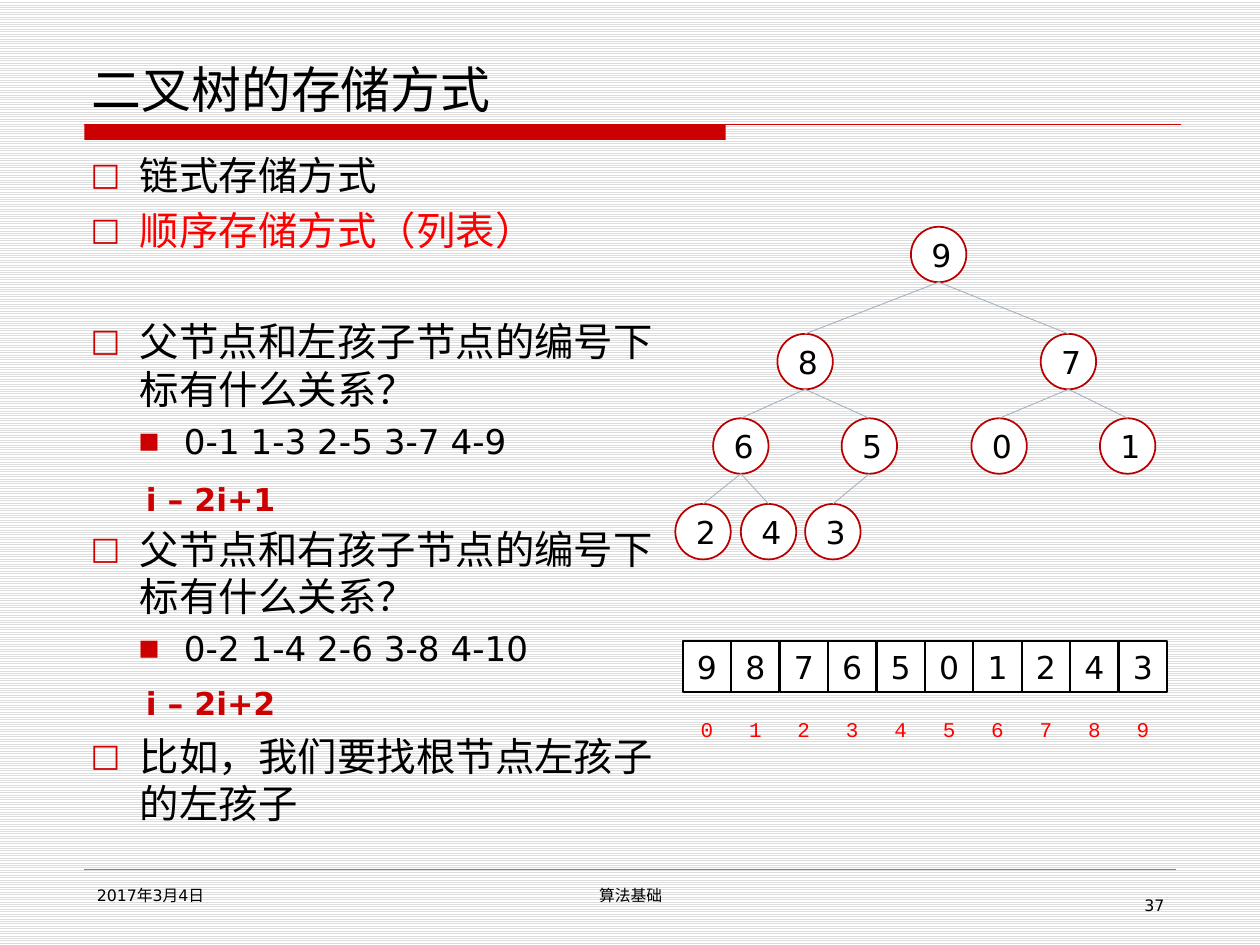
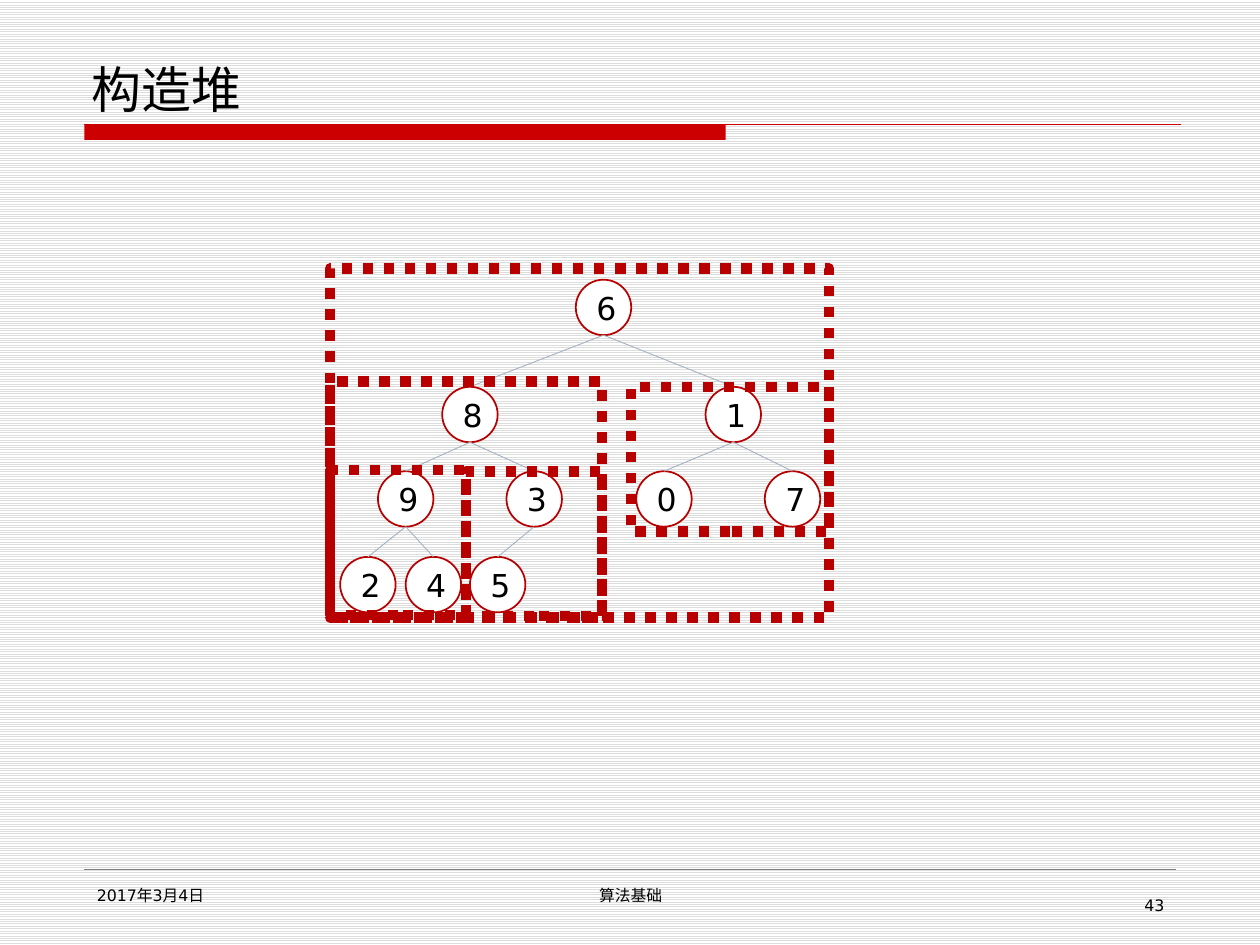
from lxml import etree
from pptx import Presentation
from pptx.dml.color import RGBColor
from pptx.enum.dml import MSO_LINE, MSO_PATTERN
from pptx.enum.shapes import MSO_CONNECTOR, MSO_SHAPE
from pptx.enum.text import MSO_ANCHOR, MSO_AUTO_SIZE, PP_ALIGN
from pptx.oxml import parse_xml
from pptx.oxml.ns import nsdecls, qn
from pptx.util import Inches, Pt

BLACK = RGBColor(0x00, 0x00, 0x00)
WHITE = RGBColor(0xFF, 0xFF, 0xFF)
STRIPE = RGBColor(0xDD, 0xDD, 0xDD)
ACCENT = RGBColor(0xCC, 0x00, 0x00)
NODE_RED = RGBColor(0xB9, 0x00, 0x00)
BRIGHT_RED = RGBColor(0xFF, 0x00, 0x00)
EDGE = RGBColor(0xA3, 0xB2, 0xC1)
FOOTER_GRAY = RGBColor(0x80, 0x80, 0x80)

SANS = "DejaVu Sans"
MONO = "Courier New"

TITLE_ONLY, TITLE_AND_BODY = 5, 1

# Node places in level order, relative to the tree's top left corner
NODE_SIZE = 0.44
LEVEL_TOPS = (0, 0.85, 1.52, 2.2)
NODE_LEFTS = (1.87, 0.81, 2.9, 0.3, 1.32, 2.35, 3.37, 0, 0.52, 1.03)

# Level: left margin, hanging indent, size, bullet, bullet size in percent
LIST_LEVELS = (
    (0.39, 0.39, 22.5, "□", 80),
    (0.74, 0.36, 19.5, "■", 65),
)
LIST_GAP = 4.5
SECTION_GAP = 36.5


def write(paragraph, text, size=18, color=BLACK, font=SANS, bold=False,
          align=PP_ALIGN.LEFT):
    paragraph.alignment = align
    run = paragraph.add_run()
    run.text = text
    run.font.size = Pt(size)
    run.font.bold = bold
    run.font.color.rgb = color
    run.font.name = font
    east_asian = etree.SubElement(run.font._element, qn("a:ea"))
    east_asian.set("typeface", font)


def add_bullet(paragraph, left, hanging, char, percent):
    properties = paragraph._p.get_or_add_pPr()
    properties.set("marL", str(Inches(left)))
    properties.set("indent", str(-Inches(hanging)))
    for xml in (
        f'<a:buClr {nsdecls("a")}><a:srgbClr val="{ACCENT}"/></a:buClr>',
        f'<a:buSzPct {nsdecls("a")} val="{percent * 1000}"/>',
        f'<a:buFont {nsdecls("a")} typeface="{SANS}"/>',
        f'<a:buChar {nsdecls("a")} char="{char}"/>',
    ):
        properties.append(parse_xml(xml))


def place(shape, left, top, width, height):
    shape.left, shape.top = Inches(left), Inches(top)
    shape.width, shape.height = Inches(width), Inches(height)


class Deck:
    """Holds the shared style and the slide being filled."""

    def __init__(self):
        self.prs = Presentation()
        self.prs.slide_width, self.prs.slide_height = Inches(10), Inches(7.5)
        self.slide = None
        fill = self.prs.slide_master.background.fill
        fill.patterned()
        fill.pattern = MSO_PATTERN.LIGHT_HORIZONTAL
        fill.fore_color.rgb = STRIPE
        fill.back_color.rgb = WHITE

    def new_slide(self, title, number, layout):
        self.slide = self.prs.slides.add_slide(self.prs.slide_layouts[layout])
        self.shape(MSO_SHAPE.RECTANGLE, 0.67, 0.99, 5.09, 0.12, fill=ACCENT)
        self.line((0.67, 0.99), (9.37, 0.99), ACCENT, 0.75)
        self.line((0.67, 6.9), (9.33, 6.9), FOOTER_GRAY, 0.25)

        heading = self.slide.shapes.title
        place(heading, 0.63, 0.33, 8.75, 0.66)
        heading.text_frame.vertical_anchor = MSO_ANCHOR.BOTTOM
        heading.text_frame.auto_size = MSO_AUTO_SIZE.NONE
        write(heading.text_frame.paragraphs[0], title, size=28.5)

        self.text("2017年3月4日", 0.67, 6.98, 2.17, 0.37, size=9)
        self.text("算法基础", 3.42, 6.98, 3.17, 0.37, size=9,
                  align=PP_ALIGN.CENTER)
        self.text(str(number), 7.17, 7.06, 2.17, 0.29, size=9,
                  align=PP_ALIGN.RIGHT)

    def text(self, text, left, top, width, height, anchor=MSO_ANCHOR.TOP,
             **style):
        box = self.slide.shapes.add_textbox(
            Inches(left), Inches(top), Inches(width), Inches(height))
        box.text_frame.word_wrap = True
        box.text_frame.vertical_anchor = anchor
        write(box.text_frame.paragraphs[0], text, **style)

    def shape(self, kind, left, top, width, height, fill=None, line=None,
              weight=1, dash=None, text=None):
        shape = self.slide.shapes.add_shape(
            kind, Inches(left), Inches(top), Inches(width), Inches(height))
        shape.shadow.inherit = False
        if fill is None:
            shape.fill.background()
        else:
            shape.fill.solid()
            shape.fill.fore_color.rgb = fill
        if line is None:
            shape.line.fill.background()
        else:
            shape.line.color.rgb = line
            shape.line.width = Pt(weight)
            shape.line.dash_style = dash
        if text is not None:
            shape.text_frame.vertical_anchor = MSO_ANCHOR.MIDDLE
            write(shape.text_frame.paragraphs[0], text, align=PP_ALIGN.CENTER)
        return shape

    def line(self, start, end, color, weight):
        line = self.slide.shapes.add_connector(
            MSO_CONNECTOR.STRAIGHT, *(Inches(v) for v in (*start, *end)))
        line.line.color.rgb = color
        line.line.width = Pt(weight)
        etree.SubElement(line._element.spPr, qn("a:effectLst"))

    def bullets(self, items, left, top, width, height):
        """Fill the body with (text, level, color, space before) items."""
        body = self.slide.placeholders[1]
        place(body, left, top, width, height)
        frame = body.text_frame
        frame.auto_size = MSO_AUTO_SIZE.NONE
        for index, (text, level, color, gap) in enumerate(items):
            paragraph = frame.add_paragraph() if index else frame.paragraphs[0]
            margin, hanging, size, char, percent = LIST_LEVELS[level]
            paragraph.level = level
            add_bullet(paragraph, margin, hanging, char, percent)
            paragraph.space_before = Pt(gap)
            write(paragraph, text, size=size, color=color)

    def tree(self, values, left, top):
        """Draw a complete binary tree from its values in level order."""
        spots = []
        for index, value in enumerate(values):
            level = (index + 1).bit_length() - 1
            x, y = left + NODE_LEFTS[index], top + LEVEL_TOPS[level]
            spots.append((x + NODE_SIZE / 2, y))
            self.shape(MSO_SHAPE.OVAL, x, y, NODE_SIZE, NODE_SIZE,
                       fill=WHITE, line=NODE_RED, text=str(value))
        for child in range(1, len(spots)):
            x, y = spots[(child - 1) // 2]
            self.line((x, y + NODE_SIZE), spots[child], EDGE, 0.5)

    def array(self, values, left, top, pitch):
        """Draw a row of cells with the index under each."""
        for index, value in enumerate(values):
            x = left + index * pitch
            self.shape(MSO_SHAPE.RECTANGLE, x, top, 0.38, 0.4,
                       fill=WHITE, line=BLACK, text=str(value))
            self.text(str(index), x, top + 0.5, 0.38, 0.4,
                      anchor=MSO_ANCHOR.MIDDLE, size=12, color=BRIGHT_RED,
                      font=MONO, align=PP_ALIGN.CENTER)


def storage_slide(deck):
    deck.new_slide("二叉树的存储方式", 37, TITLE_AND_BODY)
    deck.bullets([
        ("链式存储方式", 0, BLACK, 0),
        ("顺序存储方式（列表）", 0, BRIGHT_RED, LIST_GAP),
        ("父节点和左孩子节点的编号下标有什么关系？", 0, BLACK, SECTION_GAP),
        ("0-1 1-3 2-5 3-7 4-9", 1, BLACK, LIST_GAP),
        ("父节点和右孩子节点的编号下标有什么关系？", 0, BLACK, SECTION_GAP),
        ("0-2 1-4 2-6 3-8 4-10", 1, BLACK, LIST_GAP),
        ("比如，我们要找根节点左孩子的左孩子", 0, BLACK, SECTION_GAP),
    ], 0.62, 1.15, 4.76, 5.43)

    stored_values = (9, 8, 7, 6, 5, 0, 1, 2, 4, 3)
    deck.tree(stored_values, 5.36, 1.8)
    deck.array(stored_values, 5.42, 5.09, pitch=(8.88 - 5.42) / 9)
    for formula, top in (("i – 2i+1", 3.76), ("i – 2i+2", 5.38)):
        deck.text(formula, 1.06, top, 1.32, 0.4, color=ACCENT, bold=True)


def heap_slide(deck):
    deck.new_slide("构造堆", 43, TITLE_ONLY)
    deck.tree((6, 8, 1, 9, 3, 0, 7, 2, 4, 5), 2.7, 2.22)
    subtree_frames = (
        (3.7, 3.74, 1.08, 1.15),
        (2.62, 3.73, 1.08, 1.15),
        (5.01, 3.07, 1.57, 1.15),
        (2.62, 3.03, 2.16, 1.87),
        (2.62, 2.13, 3.96, 2.77),
    )
    for frame in subtree_frames:
        deck.shape(MSO_SHAPE.RECTANGLE, *frame, line=NODE_RED, weight=6,
                   dash=MSO_LINE.ROUND_DOT)


def main():
    deck = Deck()
    storage_slide(deck)
    heap_slide(deck)
    deck.prs.save("out.pptx")


if __name__ == "__main__":
    main()
